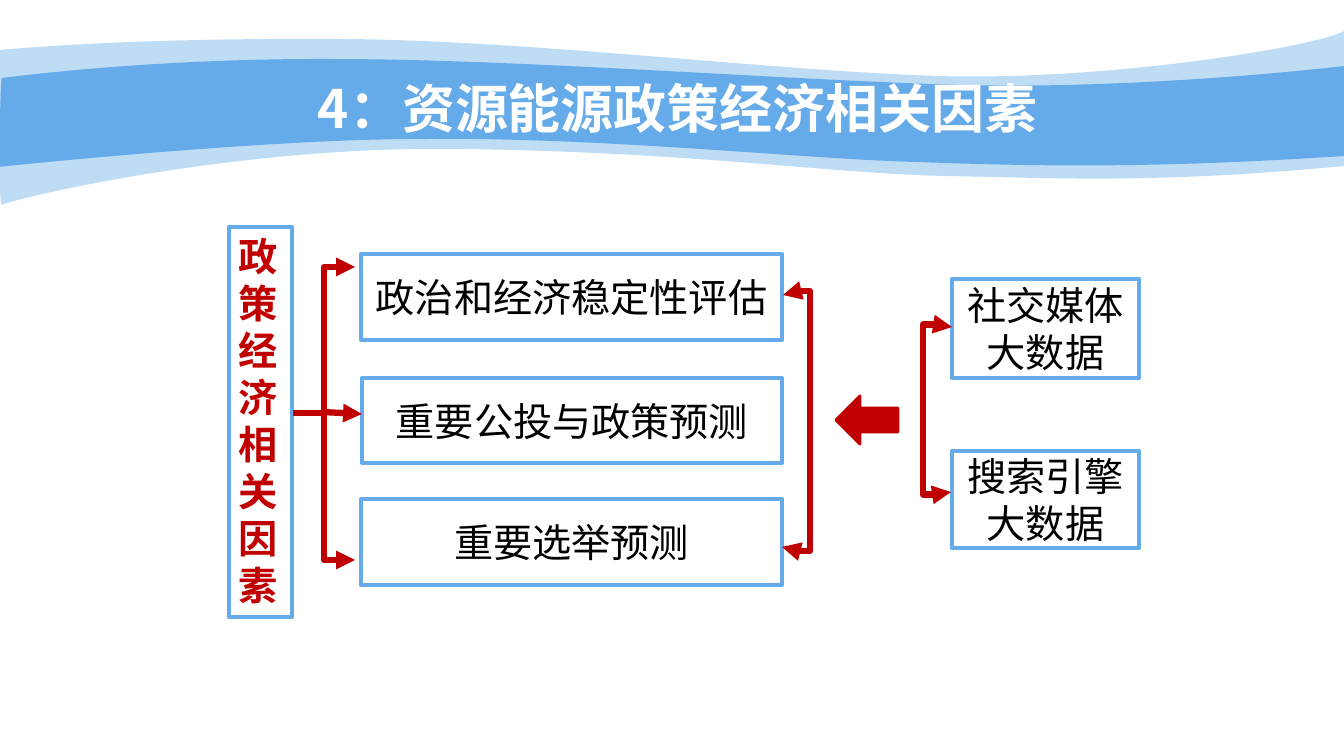
import pptx
import pptx.util
import pptx.dml.color
import pptx.enum.shapes
import pptx.enum.text
import pptx.oxml
import pptx.oxml.ns

FONT = "Noto Sans CJK SC"
BLUE, RED, WHITE, BLACK = "65AAE9", "C00000", "FFFFFF", "000000"
SCALE = 914400 / 100.8

TITLE = "4：资源能源政策经济相关因素"
TITLE_AREA = (134, 76, 1087, 62)
TOPIC = ("政策经济相关因素", (229, 227, 63, 390))
BOXES = [
    ("政治和经济稳定性评估", (361, 254, 421, 86)),
    ("重要公投与政策预测", (362, 378, 420, 85)),
    ("重要选举预测", (361, 499, 421, 86)),
    ("社交媒体大数据", (952, 279, 187, 99)),
    ("搜索引擎大数据", (952, 451, 187, 97)),
]
BIG_ARROW = (836, 396, 62, 48)
BANDS = [
    (41, (0, 50),
     [(32, 47), (144, 38), (332, 39), (518, 39), (773, 71), (939, 76),
      (1105, 81), (1316, 47), (1344, 31)],
     (1344, 166),
     [(1153, 184), (1058, 178), (947, 176), (836, 174), (692, 152), (462, 149),
      (231, 145), (5, 201), (2, 205), (-2, 210), (0, 76), (0, 50)]),
    (100, (2, 78),
     [(3, 78), (147, 58), (334, 59), (519, 59), (800, 81), (966, 85),
      (1131, 89), (1311, 70), (1344, 66)],
     (1344, 156),
     [(1146, 169), (1029, 166), (916, 162), (805, 159), (601, 137), (426, 139),
      (273, 138), (-3, 167), (-2, 167), (0, 167), (0, 78), (2, 78)]),
]
TOPIC_LINKS = [((293, 413), (355, 560)), ((293, 413), (355, 267))]
MIDDLE_LINK = ((322, 412), (362, 414))
SOURCE_LINKS = [
    ((923, 408), (951, 492)), ((923, 414), (952, 327)),
    ((810, 424), (783, 295)), ((810, 415), (782, 547)),
]
OVERSHOOT = 102900


def px(*lengths):
    return [pptx.util.Emu(round(length * SCALE)) for length in lengths]


def color(code):
    return pptx.dml.color.RGBColor.from_string(code)


def add(parent, tag, **attributes):
    element = pptx.oxml.parse_xml(f"<{tag} {pptx.oxml.ns.nsdecls('a')}/>")
    for name, value in attributes.items():
        element.set(name, str(value))
    parent.append(element)
    return element


def write(shape, text, size, code, bold=False, align="CENTER", anchor="MIDDLE"):
    frame = shape.text_frame
    frame.word_wrap = True
    frame.vertical_anchor = pptx.enum.text.MSO_ANCHOR[anchor]
    para = frame.paragraphs[0]
    para.alignment = pptx.enum.text.PP_ALIGN[align]
    span = para.add_run()
    span.text = text
    span.font.size = pptx.util.Pt(size)
    span.font.bold = bold
    span.font.name = FONT
    span.font.color.rgb = color(code)
    add(span.font._element, "a:ea", typeface=FONT)


def paint(shape, fill, line=None, width=0):
    shape.shadow.inherit = False
    shape.fill.solid()
    shape.fill.fore_color.rgb = color(fill)
    if line:
        shape.line.color.rgb = color(line)
        shape.line.width = pptx.util.Pt(width)
    else:
        shape.line.fill.background()


def add_box(area, fill=WHITE, line=BLUE, width=3, kind="RECTANGLE"):
    shape = slide.shapes.add_shape(pptx.enum.shapes.MSO_SHAPE[kind], *px(*area))
    paint(shape, fill, line, width)
    return shape


def add_band(opacity, start, upper, corner, lower):
    builder = slide.shapes.build_freeform(*start, scale=SCALE)
    builder.add_line_segments(upper + [corner] + lower, close=True)
    band = builder.convert_to_shape()
    paint(band, BLUE)
    lines = list(band._element.iter(pptx.oxml.ns.qn("a:lnTo")))
    curved = lines[:len(upper)] + lines[len(upper) + 1:]
    for first in range(0, len(curved), 3):
        curve = pptx.oxml.parse_xml(f"<a:cubicBezTo {pptx.oxml.ns.nsdecls('a')}/>")
        curved[first].addprevious(curve)
        for segment in curved[first:first + 3]:
            curve.append(segment[0])
            segment.getparent().remove(segment)
    if opacity < 100:
        fill = band._element.spPr.find(pptx.oxml.ns.qn("a:solidFill"))
        add(fill[0], "a:alpha", val=opacity * 1000)
    return band


def add_link(begin, end, kind="ELBOW"):
    link = slide.shapes.add_connector(
        pptx.enum.shapes.MSO_CONNECTOR[kind], *px(*begin, *end))
    link.line.color.rgb = color(RED)
    link.line.width = pptx.util.Pt(4.5)
    add(link.line._get_or_add_ln(), "a:tailEnd", type="triangle")
    add(link._element.spPr, "a:effectLst")
    return link


def add_upright_link(begin, end):
    across, down = end[0] - begin[0], end[1] - begin[1]
    middle_x, middle_y = (begin[0] + end[0]) / 2, (begin[1] + end[1]) / 2
    left, right = middle_x - abs(down) / 2, middle_x + abs(down) / 2
    top, bottom = middle_y - abs(across) / 2, middle_y + abs(across) / 2
    if (across > 0) == (down > 0):
        top, bottom = bottom, top
    link = add_link((left, top), (right, bottom))
    properties = link._element.spPr
    properties.xfrm.set("rot", str((90 if down > 0 else 270) * 60000))
    guides = properties.find(".//" + pptx.oxml.ns.qn("a:avLst"))
    add(guides, "a:gd", name="adj1", fmla=f"val {OVERSHOOT}")


deck = pptx.Presentation()
deck.slide_width, deck.slide_height = px(1344, 756)
slide = deck.slides.add_slide(deck.slide_layouts[5])

for depth, band in enumerate(BANDS, start=2):
    slide.shapes._spTree.insert(depth, add_band(*band)._element)

title = slide.shapes.title
title.left, title.top, title.width, title.height = px(*TITLE_AREA)
write(title, TITLE, 37.8, WHITE, bold=True)

topic_text, topic_area = TOPIC
write(add_box(topic_area), topic_text, 28, RED, True, "LEFT", "TOP")
for text, area in BOXES:
    write(add_box(area), text, 28, BLACK)
add_box(BIG_ARROW, RED, RED, 2, "LEFT_ARROW")

for begin, end in TOPIC_LINKS:
    add_link(begin, end)
add_link(*MIDDLE_LINK, kind="STRAIGHT")
for begin, end in SOURCE_LINKS:
    add_upright_link(begin, end)

deck.save("out.pptx")
